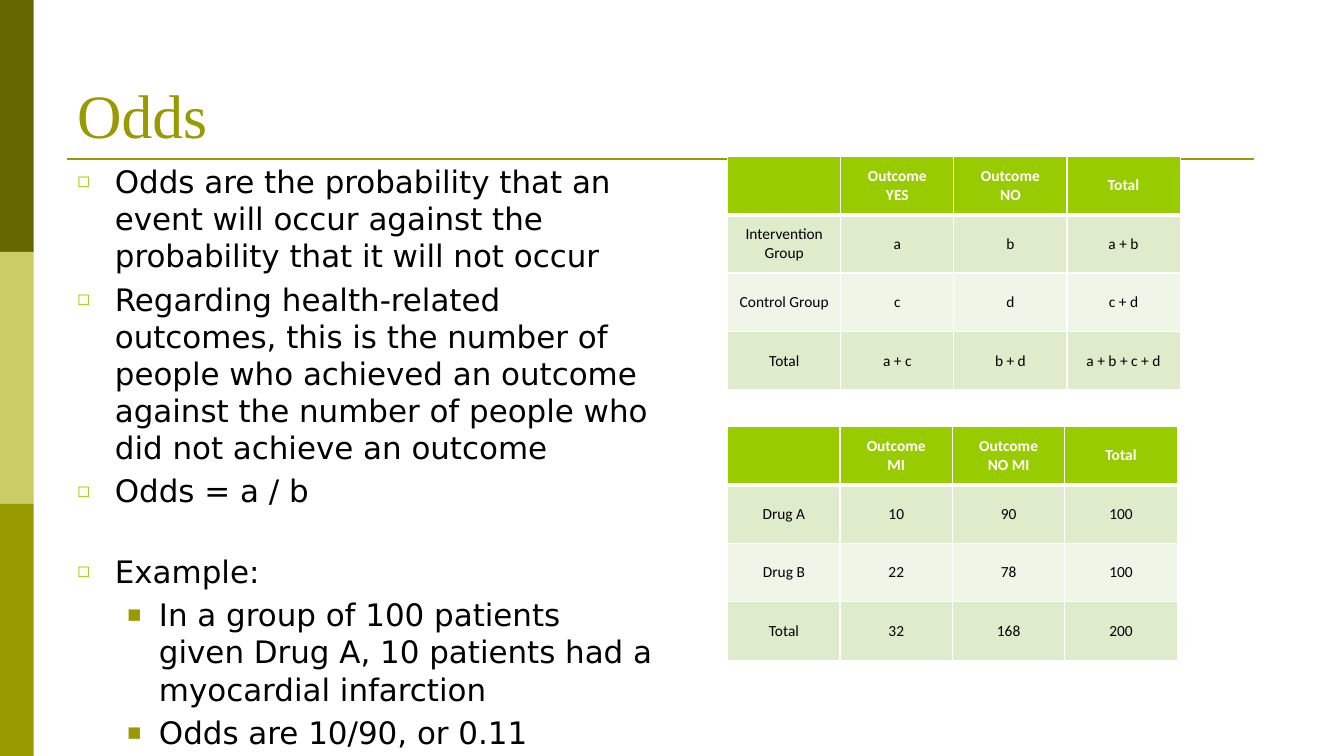
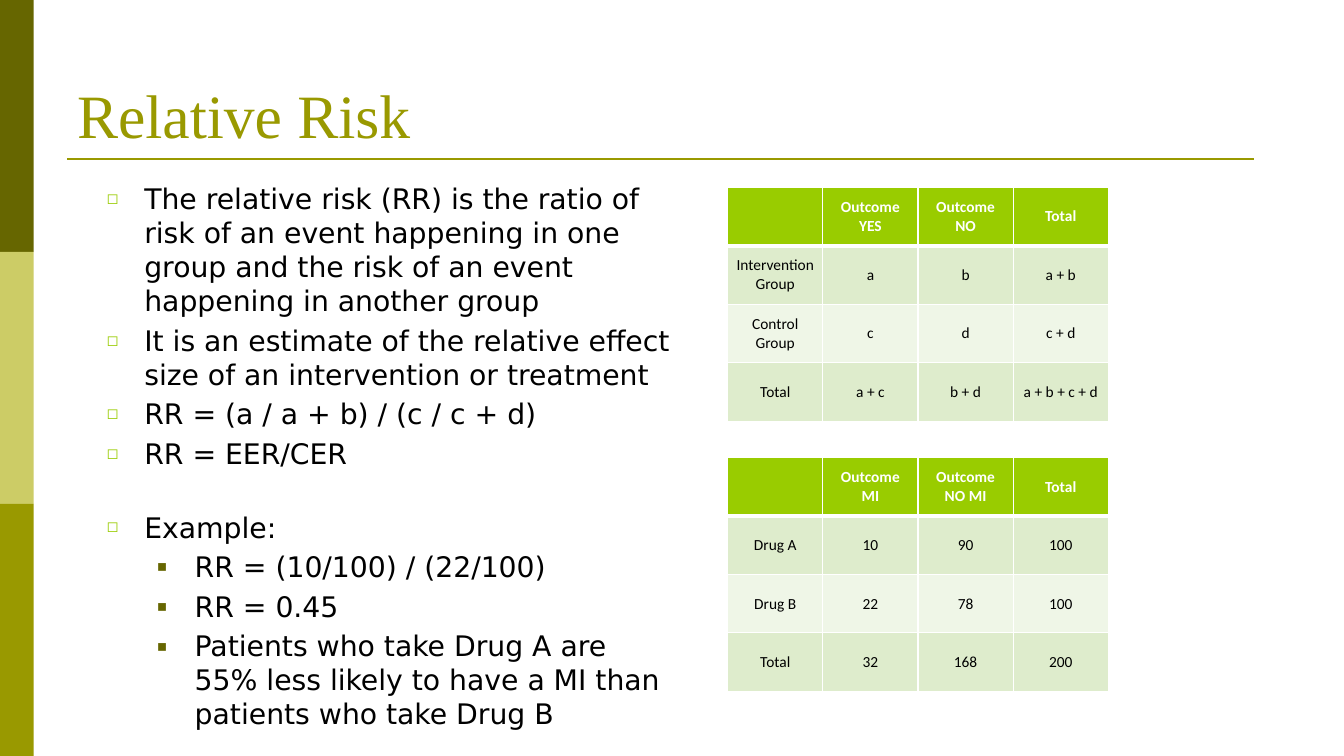
from dataclasses import dataclass

from lxml.etree import SubElement
from pptx import Presentation
from pptx.dml.color import RGBColor
from pptx.enum.shapes import MSO_CONNECTOR, MSO_SHAPE
from pptx.enum.text import MSO_ANCHOR, PP_ALIGN
from pptx.oxml.ns import qn
from pptx.util import Pt


@dataclass(frozen=True)
class Theme:
    dark: str = "666600"
    pale: str = "CCCC66"
    olive: str = "999900"
    lime: str = "99CC00"
    band_odd: str = "DEECCC"
    band_even: str = "EFF6E7"
    white: str = "FFFFFF"
    black: str = "000000"
    title_font: str = "Times New Roman"
    body_font: str = "DejaVu Sans"
    table_font: str = "Calibri"
    title_size: float = 44
    table_size: float = 11


THEME = Theme()

# Bullet style: character, colour, size in percent, text indent, hanging indent
BULLETS = {
    "main": ("◻", THEME.lime, 52, 27, 27),
    "square": ("■", THEME.olive, 48, 58.5, 22.5),
    "small": ("▪", THEME.dark, 55, 63, 27),
}

GENERAL_OUTCOMES = [
    ("", "Outcome\nYES", "Outcome\nNO", "Total"),
    ("Intervention Group", "a", "b", "a + b"),
    ("Control Group", "c", "d", "c + d"),
    ("Total", "a + c", "b + d", "a + b + c + d"),
]
DRUG_OUTCOMES = [
    ("", "Outcome\nMI", "Outcome\nNO MI", "Total"),
    ("Drug A", "10", "90", "100"),
    ("Drug B", "22", "78", "100"),
    ("Total", "32", "168", "200"),
]
EXAMPLE = "Example:"

SLIDES = [
    {
        "title": "Odds",
        "body_box": (48, 112.5, 426, 356),
        "body_size": 22.1,
        "points": [
            ("main", "Odds are the probability that an event will occur against "
                     "the probability that it will not occur"),
            ("main", "Regarding health-related outcomes, this is the number of "
                     "people who achieved an outcome against the number of people "
                     "who did not achieve an outcome"),
            ("main", "Odds = a / b"),
            ("main", EXAMPLE),
            ("square", "In a group of 100 patients given Drug A, 10 patients had a "
                       "myocardial infarction"),
            ("square", "Odds are 10/90, or 0.11"),
        ],
        "tables_top": 111.6,
        "column_widths": (80.8, 80.3),
    },
    {
        "title": "Relative Risk",
        "body_box": (69, 126, 420, 356),
        "body_size": 20.2,
        "points": [
            ("main", "The relative risk (RR) is the ratio of risk of an event "
                     "happening in one group and the risk of an event happening in "
                     "another group"),
            ("main", "It is an estimate of the relative effect size of an "
                     "intervention or treatment"),
            ("main", "RR = (a / a + b) / (c / c + d)"),
            ("main", "RR = EER/CER"),
            ("main", EXAMPLE),
            ("small", "RR = (10/100) / (22/100)"),
            ("small", "RR = 0.45"),
            ("small", "Patients who take Drug A are 55% less likely to have a MI "
                      "than patients who take Drug B"),
        ],
        "tables_top": 133.9,
        "column_widths": (68, 68),
    },
]

SLIDE_W, SLIDE_H = 960, 540
BAR_W = 24
RULE = (48, 896, 113.75)  # left, right, height on the slide
TITLE_BOX = (48, 21.6, 864, 90)
TABLE_LEFT = 519.8
TABLE_PITCH = 193
ROW_H = 41.75


def rgb(color):
    return RGBColor.from_string(color)


def format_runs(paragraph, font, size, color, bold=False):
    for run in paragraph.runs:
        run.font.name = font
        run.font.size = Pt(size)
        run.font.color.rgb = rgb(color)
        run.font.bold = bold


def add_text_frame(slide, box):
    frame = slide.shapes.add_textbox(*map(Pt, box)).text_frame
    frame.word_wrap = True
    return frame


def add_frame(slide):
    """Draw the side bars and the rule under the title."""
    bar_colors = (THEME.dark, THEME.pale, THEME.olive)
    bar_h = SLIDE_H / len(bar_colors)
    for index, color in enumerate(bar_colors):
        bar = slide.shapes.add_shape(
            MSO_SHAPE.RECTANGLE, 0, Pt(index * bar_h), Pt(BAR_W), Pt(bar_h))
        bar.shadow.inherit = False
        bar.fill.solid()
        bar.fill.fore_color.rgb = rgb(color)
        bar.line.fill.background()

    left, right, y = map(Pt, RULE)
    rule = slide.shapes.add_connector(MSO_CONNECTOR.STRAIGHT, left, y, right, y)
    rule.line.color.rgb = rgb(THEME.olive)
    rule.line.width = Pt(1.5)
    SubElement(rule._element.spPr, qn("a:effectLst"))


def add_title(slide, title):
    frame = add_text_frame(slide, TITLE_BOX)
    frame.vertical_anchor = MSO_ANCHOR.BOTTOM
    frame.text = title
    format_runs(frame.paragraphs[0], THEME.title_font, THEME.title_size, THEME.olive)


def set_bullet(paragraph, kind):
    character, color, percent, indent, hanging = BULLETS[kind]
    props = paragraph._p.get_or_add_pPr()
    props.set("marL", str(Pt(indent)))
    props.set("indent", str(-Pt(hanging)))
    bullet_color = SubElement(props, qn("a:buClr"))
    SubElement(bullet_color, qn("a:srgbClr"), val=color)
    SubElement(props, qn("a:buSzPct"), val=str(percent * 1000))
    SubElement(props, qn("a:buFont"), typeface=THEME.body_font)
    SubElement(props, qn("a:buChar"), char=character)


def add_points(slide, box, size, points):
    frame = add_text_frame(slide, box)
    gap = 0.2 * size
    example_gap = 2 * gap + size  # sets the example apart by about one line
    for index, (kind, point) in enumerate(points):
        paragraph = frame.paragraphs[0] if index == 0 else frame.add_paragraph()
        paragraph.text = point
        set_bullet(paragraph, kind)
        if index:
            paragraph.space_before = Pt(example_gap if point == EXAMPLE else gap)
        format_runs(paragraph, THEME.body_font, size, THEME.black)


def set_borders(cell, top, bottom):
    props = cell._tc.get_or_add_tcPr()
    for side, width in (("L", 1), ("R", 1), ("T", top), ("B", bottom)):
        border = SubElement(props, qn(f"a:ln{side}"), w=str(Pt(width)))
        fill = SubElement(border, qn("a:solidFill"))
        SubElement(fill, qn("a:srgbClr"), val=THEME.white)


def style_cell(cell, row):
    header = row == 0
    set_borders(cell, top=3 if row == 1 else 1, bottom=3 if header else 1)
    cell.fill.solid()
    band = THEME.band_odd if row % 2 else THEME.band_even
    cell.fill.fore_color.rgb = rgb(THEME.lime if header else band)
    cell.vertical_anchor = MSO_ANCHOR.MIDDLE
    cell.margin_left = cell.margin_right = Pt(3.6)
    cell.margin_top = cell.margin_bottom = Pt(1.44)
    for paragraph in cell.text_frame.paragraphs:
        paragraph.alignment = PP_ALIGN.CENTER
        format_runs(paragraph, THEME.table_font, THEME.table_size,
                    THEME.white if header else THEME.black, header)


def add_outcome_table(slide, outcomes, top, column_w):
    rows, columns = len(outcomes), len(outcomes[0])
    table = slide.shapes.add_table(
        rows, columns, Pt(TABLE_LEFT), Pt(top),
        Pt(columns * column_w), Pt(rows * ROW_H)).table
    for column in table.columns:
        column.width = Pt(column_w)
    for row, labels in enumerate(outcomes):
        table.rows[row].height = Pt(ROW_H)
        for column, label in enumerate(labels):
            cell = table.cell(row, column)
            cell.text_frame.text = label
            style_cell(cell, row)


def main():
    deck = Presentation()
    deck.slide_width, deck.slide_height = Pt(SLIDE_W), Pt(SLIDE_H)
    blank = deck.slide_layouts[6]
    for content in SLIDES:
        slide = deck.slides.add_slide(blank)
        add_frame(slide)
        add_title(slide, content["title"])
        add_points(slide, content["body_box"], content["body_size"], content["points"])
        tables = zip((GENERAL_OUTCOMES, DRUG_OUTCOMES), content["column_widths"])
        for index, (outcomes, column_w) in enumerate(tables):
            top = content["tables_top"] + index * TABLE_PITCH
            add_outcome_table(slide, outcomes, top, column_w)
    deck.save("out.pptx")


if __name__ == "__main__":
    main()
